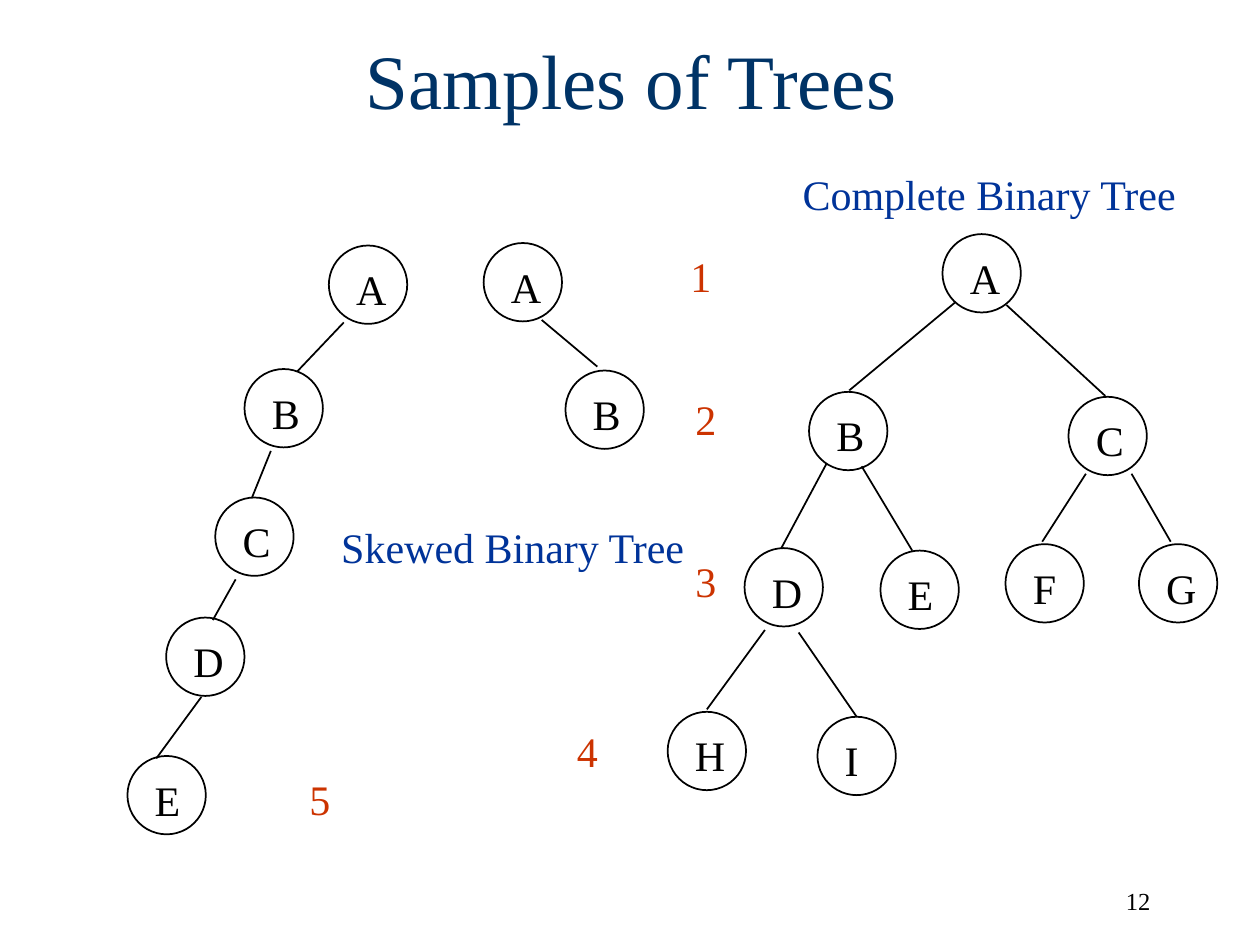
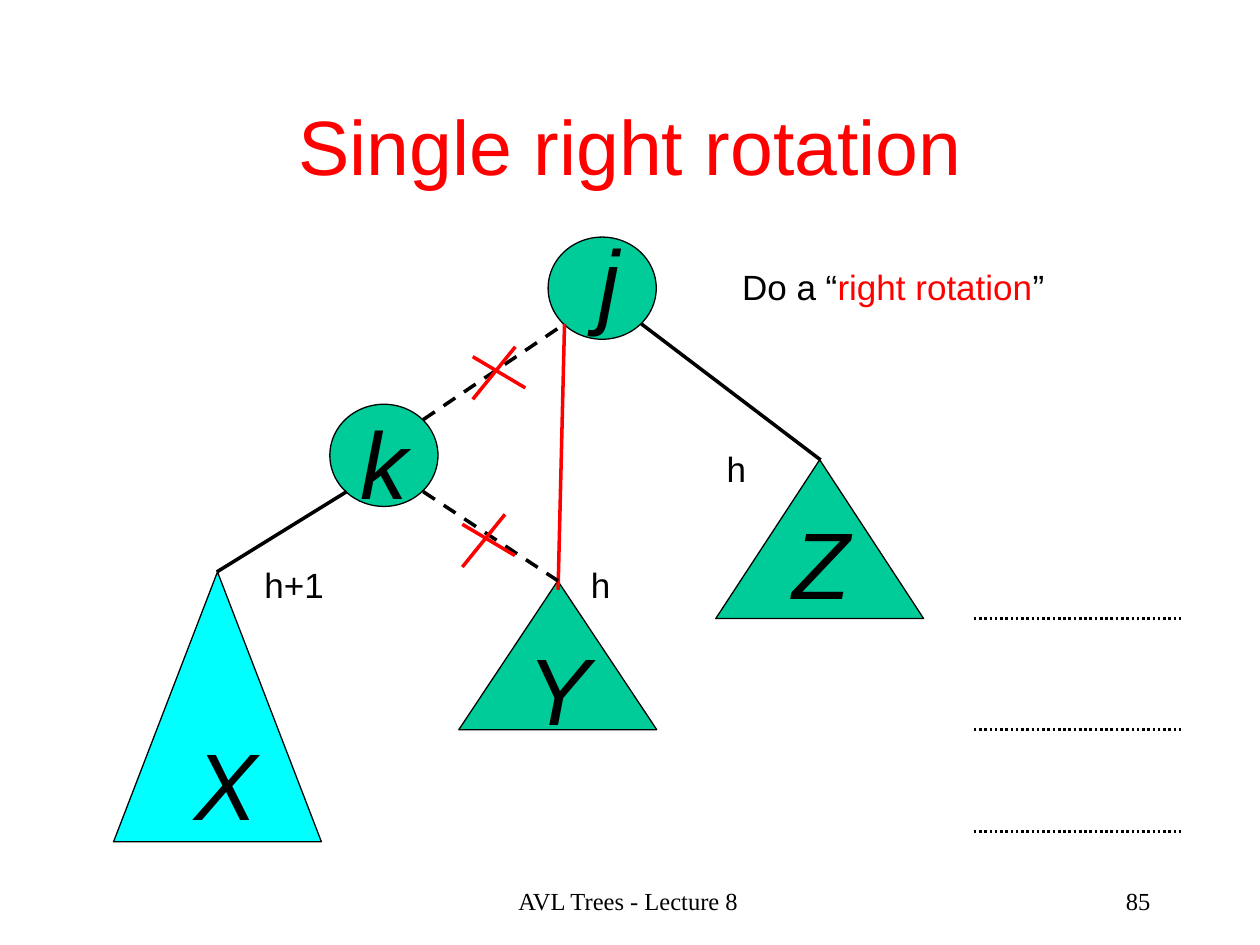
from lxml import etree
from pptx import Presentation
from pptx.dml.color import RGBColor
from pptx.enum import dml, shapes, text
from pptx.oxml import ns
from pptx.util import Cm, Pt

COLORS = {
    "ink": "000000", "navy": "003366", "blue": "003399", "rust": "CC3300",
    "red": "FF0000", "green": "00CC99", "cyan": "00FFFF",
}
SERIF, SANS = "Times New Roman", "Arial"
LEFT, CENTER, RIGHT = text.PP_ALIGN.LEFT, text.PP_ALIGN.CENTER, text.PP_ALIGN.RIGHT
OVAL = shapes.MSO_SHAPE.OVAL
TRIANGLE = shapes.MSO_SHAPE.ISOSCELES_TRIANGLE
DASH, DOT = dml.MSO_LINE.DASH, dml.MSO_LINE.ROUND_DOT
NODE_SIZE = 1.58

SKEWED_NODES = [
    ("A", 6.63, 4.95), ("B", 4.93, 7.44), ("C", 4.34, 10.03),
    ("D", 3.35, 12.45), ("E", 2.57, 15.24),
    ("A", 9.75, 4.9), ("B", 11.4, 7.47),
]
SKEWED_EDGES = [
    (6.93, 6.5, 5.99, 7.49), (5.46, 9.09, 5.08, 10.03),
    (4.75, 11.68, 4.29, 12.5), (4.06, 14.05, 3.15, 15.29),
    (10.92, 6.45, 12.04, 7.39),
]
COMPLETE_NODES = [
    ("A", 19, 4.72), ("B", 16.31, 7.9), ("C", 21.54, 8),
    ("D", 15.01, 11.05), ("E", 17.75, 11.1), ("F", 20.27, 10.97),
    ("G", 22.96, 10.97), ("H", 13.46, 14.35), ("I", 16.48, 14.45),
]
COMPLETE_EDGES = [
    (19.25, 6.1, 17.12, 7.87), (20.29, 6.15, 22.28, 7.98),
    (16.66, 9.35, 15.75, 11.05), (17.37, 9.4, 18.39, 11.1),
    (21.89, 9.55, 21.01, 10.92), (22.81, 9.55, 23.6, 10.92),
    (15.42, 12.7, 14.25, 14.3), (16.1, 12.75, 17.27, 14.45),
]
LEVELS = [
    ("1", 13.67, 4.93), ("2", 13.77, 7.8), ("3", 13.77, 11.07),
    ("4", 11.38, 14.5), ("5", 5.99, 15.47),
]


def rgb(name):
    """Return the named colour."""
    return RGBColor.from_string(COLORS[name])


def add_text(parent, box, runs, size, font=SERIF, align=LEFT, italic=False):
    """Add one line of text made of (words, colour) runs."""
    sp = parent.add_textbox(*map(Cm, box))
    tf = sp.text_frame
    tf.word_wrap = True
    p = tf.paragraphs[0]
    p.alignment = align
    for words, color in runs:
        r = p.add_run()
        r.text = words
        r.font.name, r.font.size, r.font.italic = font, Pt(size), italic
        r.font.color.rgb = rgb(color)
    return sp


def add_title(s, box, words, color, font):
    """Add a centred slide title."""
    sp = add_text(s.shapes, box, [(words, color)], 44, font, CENTER)
    sp.text_frame.vertical_anchor = text.MSO_ANCHOR.MIDDLE


def add_footer(s, number, words=None):
    """Add the slide number and the optional footer words."""
    if words:
        add_text(s.shapes, (8.64, 17.73, 8.05, 1.27), [(words, "ink")], 14, align=CENTER)
    add_text(s.shapes, (18.16, 17.73, 5.28, 1.27), [(number, "ink")], 14, align=RIGHT)


def add_outline(parent, kind, box, fill=None, width=1):
    """Add a black-edged shape, hollow unless a fill is named."""
    sp = parent.add_shape(kind, *map(Cm, box))
    sp.shadow.inherit = False
    if fill:
        sp.fill.solid()
        sp.fill.fore_color.rgb = rgb(fill)
    else:
        sp.fill.background()
    sp.line.color.rgb = rgb("ink")
    sp.line.width = Pt(width)


def add_line(s, ends, color="ink", width=1, dash=None):
    """Add a straight line through (x1, y1, x2, y2)."""
    line = s.shapes.add_connector(shapes.MSO_CONNECTOR.STRAIGHT, *map(Cm, ends))
    line.line.color.rgb = rgb(color)
    line.line.width = Pt(width)
    if dash:
        line.line.dash_style = dash
    etree.SubElement(line._element.spPr, ns.qn("a:effectLst"))


def add_node(s, letter, x, y):
    """Add a circled letter as a group."""
    parent = s.shapes.add_group_shape().shapes
    add_outline(parent, OVAL, (x, y, NODE_SIZE, NODE_SIZE))
    add_text(parent, (x + 0.3, y + 0.24, 1.12, 1.27), [(letter, "ink")], 24)


def add_tree(s, nodes, edges):
    """Add the nodes and edges of a tree."""
    for node in nodes:
        add_node(s, *node)
    for ends in edges:
        add_line(s, ends)


def add_subtree(s, letter, kind, box, fill, x, y):
    """Add a filled shape with its large italic letter at x, y."""
    add_outline(s.shapes, kind, box, fill, 0.75)
    sp = add_text(s.shapes, (x, y, 1.35, 2.54), [(letter, "ink")], 54, SANS, italic=True)
    sp.text_frame.margin_top = Cm(0.3)


def add_cross(s, x, y):
    """Add a red cross that strikes out a link."""
    add_line(s, (x, y + 0.2, x + 1.06, y + 0.83), "red", 2)
    add_line(s, (x + 0.86, y, x, y + 1.06), "red", 2)


def build_samples(s):
    """Build the slide of sample trees."""
    add_footer(s, "12")
    add_title(s, (0, 0, 25.45, 3.18), "Samples of Trees", "navy", SERIF)
    add_tree(s, SKEWED_NODES, SKEWED_EDGES)
    add_tree(s, COMPLETE_NODES, COMPLETE_EDGES)
    add_text(s.shapes, (15.93, 3.28, 8.2, 1.27), [("Complete Binary Tree", "blue")], 24)
    add_text(s.shapes, (6.63, 10.39, 7.6, 1.27), [("Skewed Binary Tree", "blue")], 24)
    for level, x, y in LEVELS:
        add_text(s.shapes, (x, y, 0.94, 1.27), [(level, "rust")], 24)


def build_rotation(s):
    """Build the slide of the single right rotation."""
    add_footer(s, "85", "AVL Trees - Lecture 8")
    add_subtree(s, "j", OVAL, (11.05, 4.78, 2.18, 2.06), "green", 11.81, 4.19)
    add_subtree(s, "k", OVAL, (6.65, 8.15, 2.18, 2.06), "green", 7.01, 7.87)
    add_subtree(s, "X", TRIANGLE, (2.29, 11.53, 4.19, 5.44), "cyan", 3.68, 14.33)
    add_subtree(s, "Y", TRIANGLE, (9.25, 11.71, 3.99, 3), "green", 10.39, 12.42)
    add_subtree(s, "Z", TRIANGLE, (14.43, 9.27, 4.19, 3.2), "green", 15.72, 9.88)
    add_line(s, (6.99, 9.91, 4.37, 11.53), width=2)
    add_line(s, (12.93, 6.53, 16.54, 9.27), width=2)
    for y in (12.47, 14.71, 16.76):
        add_line(s, (19.63, y, 23.8, y), width=1.5, dash=DOT)
    advice = [("Do a “", "ink"), ("right rotation", "red"), ("”", "ink")]
    add_text(s.shapes, (14.71, 5.23, 7.8, 1.27), advice, 20, SANS)
    add_title(s, (1.85, 1.8, 21.72, 2.24), "Single right rotation", "red", SANS)
    add_line(s, (11.38, 6.53, 11.25, 11.89), "red", 2)
    add_line(s, (8.53, 8.46, 11.38, 6.53), width=2, dash=DASH)
    add_line(s, (8.53, 9.91, 11.25, 11.71), width=2, dash=DASH)
    add_cross(s, 9.53, 6.99)
    add_cross(s, 9.32, 10.37)
    for height, x, y, width in (("h", 14.4, 8.89, 1), ("h+1", 5.08, 11.23, 1.75),
                                ("h", 11.66, 11.23, 1)):
        add_text(s.shapes, (x, y, width, 1.12), [(height, "ink")], 20, SANS)


def main():
    """Build both slides and save them."""
    prs = Presentation()
    prs.slide_width, prs.slide_height = Cm(25.4), Cm(19.05)
    for build in (build_samples, build_rotation):
        build(prs.slides.add_slide(prs.slide_layouts[6]))
    prs.save("out.pptx")


if __name__ == "__main__":
    main()
